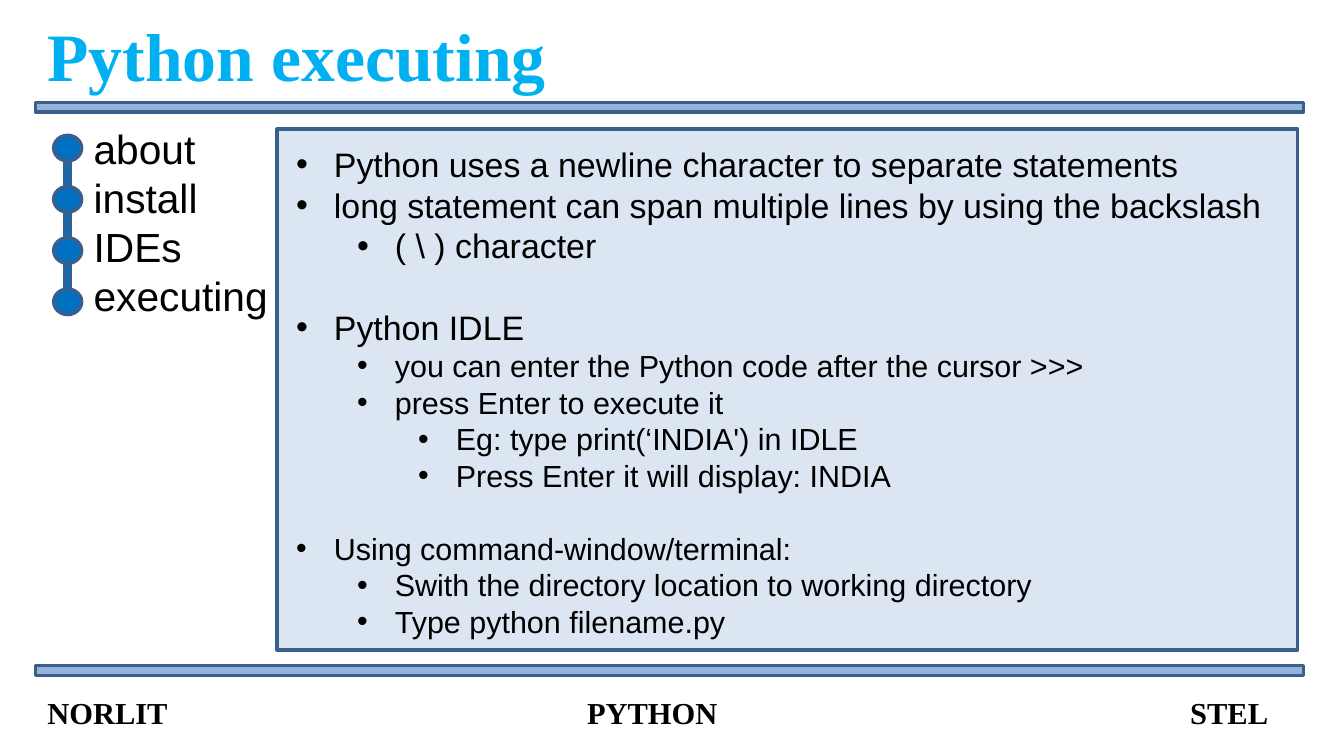
from lxml import etree
from pptx import Presentation, util as u
from pptx.dml.color import RGBColor
from pptx.enum import shapes, text
from pptx.oxml.ns import qn

CELL = 0.1  # side of a grid cell in inches


def grid(n):
    return u.Inches(n * CELL)


def rgb(code):
    return RGBColor.from_string(code)


class Deck:
    SANS, SERIF = "Arial", "Times New Roman"
    EDGE, BAR, DOT, PANEL = "3A5F8C", "95B3D7", "0070C0", "DCE6F2"
    INK, TITLE = "000000", "00B0F0"

    def __init__(self, cols, rows):
        self.prs = Presentation()
        self.prs.slide_width, self.prs.slide_height = grid(cols), grid(rows)
        self.s = self.prs.slides.add_slide(self.prs.slide_layouts[5])

    def shape(self, kind, box, fill):
        sp = self.s.shapes.add_shape(kind, *map(grid, box))
        sp.shadow.inherit = False
        sp.fill.solid()
        sp.fill.fore_color.rgb = rgb(fill)
        sp.line.color.rgb = rgb(self.EDGE)
        sp.line.width = u.Pt(2)
        return sp

    def style(self, p, size, font, color, bold=False):
        for r in p.runs:
            r.font.size, r.font.name, r.font.bold = u.Pt(size), font, bold
            r.font.color.rgb = rgb(color)

    def title(self, words, box):
        sp = self.s.shapes.title
        sp.left, sp.top, sp.width, sp.height = map(grid, box)
        tf = sp.text_frame
        tf.text = words
        tf.word_wrap = False
        tf.vertical_anchor = text.MSO_ANCHOR.TOP
        p = tf.paragraphs[0]
        p.alignment = text.PP_ALIGN.LEFT
        self.style(p, 40, self.SERIF, self.TITLE, True)

    def textbox(self, lines, box, size, font=SANS, bold=False):
        tf = self.s.shapes.add_textbox(*map(grid, box)).text_frame
        tf.word_wrap = True
        tf.text = "\n".join(lines)
        for p in tf.paragraphs:
            self.style(p, size, font, self.INK, bold)
        return tf

    def bullet(self, p, level):
        p.level = level
        pPr = p._p.get_or_add_pPr()
        pPr.set("marL", str(u.Inches(0.31 + 0.5 * level)))
        pPr.set("indent", str(u.Inches(-0.31)))
        etree.SubElement(pPr, qn("a:buFont")).set("typeface", self.SANS)
        etree.SubElement(pPr, qn("a:buChar")).set("char", "•")

    def tabs(self, p, stops):
        tab_list = etree.SubElement(p._p.get_or_add_pPr(), qn("a:tabLst"))
        for pos, align in stops:
            tab = etree.SubElement(tab_list, qn("a:tab"))
            tab.set("pos", str(grid(pos)))
            tab.set("algn", align)


RECT, OVAL = shapes.MSO_SHAPE.RECTANGLE, shapes.MSO_SHAPE.OVAL
deck = Deck(110.2, 62)

# Title and the two rules
deck.title("Python executing", (2.9, 0.6, 43.3, 7.7))
for top in (8.4, 54.6):
    deck.shape(RECT, (2.9, top, 104, 0.8), deck.BAR)

# Panel behind the bullets
deck.shape(RECT, (22.7, 10.6, 83.7, 42.7), deck.PANEL)

# Topic list with its chain of dots
topics = ["about", "install", "IDEs", "executing"]
deck.textbox(topics, (6.7, 9.7, 18, 17), 24)
for i in range(len(topics)):
    top = 11.1 + 4.2 * i
    deck.shape(OVAL, (4.4, top, 2.3, 2.1), deck.DOT)
    if i < len(topics) - 1:
        deck.shape(RECT, (5.3, top + 2.1, 0.5, 2.1), deck.DOT)

# Bullets: level, size, space before, words
notes = [
    (0, 20, 0, "Python uses a newline character to separate statements"),
    (0, 20, 0, "long statement can span multiple lines by using the backslash"),
    (1, 20, 0, "( \\ ) character"),
    (0, 20, 24, "Python IDLE"),
    (1, 18, 0, "you can enter the Python code after the cursor >>>"),
    (1, 18, 0, "press Enter to execute it"),
    (2, 18, 0, "Eg: type print(‘INDIA') in IDLE"),
    (2, 18, 0, "Press Enter it will display: INDIA"),
    (0, 18, 21.5, "Using command-window/terminal:"),
    (1, 18, 0, "Swith the directory location to working directory"),
    (1, 18, 0, "Type python filename.py"),
]
tf = deck.textbox([n[-1] for n in notes], (23.3, 11.3, 83, 42), 18)
for p, (level, size, before, _) in zip(tf.paragraphs, notes):
    p.space_before = u.Pt(before)
    deck.style(p, size, deck.SANS, deck.INK)
    deck.bullet(p, level)

# Footer: left, centre and right parts on tab stops
tf = deck.textbox(["NORLIT\tPYTHON\tSTEL"], (2.9, 56.4, 104, 3.8), 18, deck.SERIF, True)
deck.tabs(tf.paragraphs[0], [(49.6, "ctr"), (100.1, "r")])

deck.prs.save("out.pptx")
